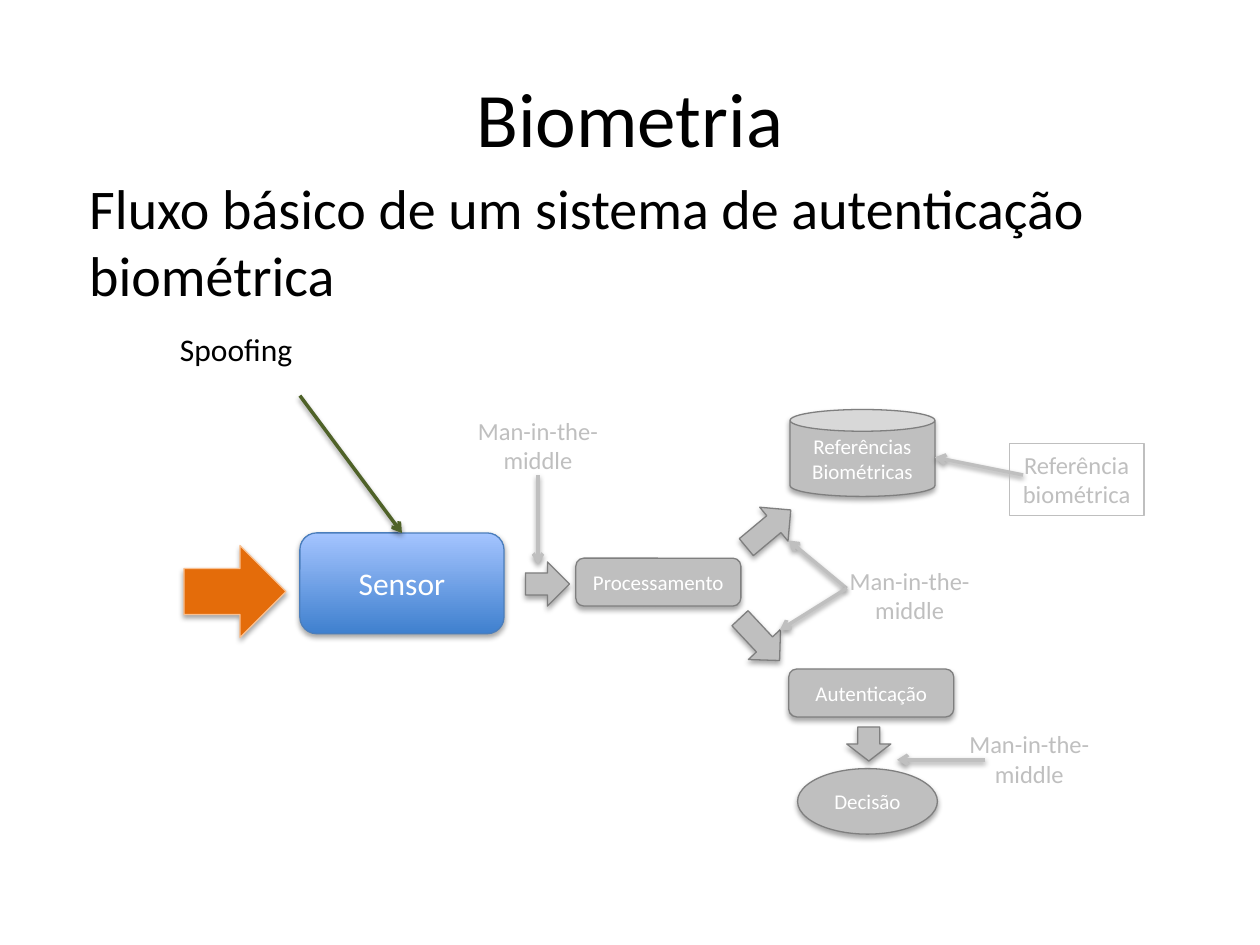
from lxml import etree
from pptx import Presentation
from pptx import util as u
from pptx.dml.color import RGBColor
from pptx.enum import shapes, text
from pptx.oxml import parse_xml
from pptx.oxml.ns import nsdecls, qn

hues = {
    "black": "000000", "white": "FFFFFF", "gray": "BFBFBF", "edge": "7F7F7F",
    "blue": "3F80CE", "sky": "A4C4FF", "rim": "4B7EBC", "green": "4F6228",
    "orange": "E46C0A", "peach": "FAC090",
}
hues = {name: RGBColor.from_string(code) for name, code in hues.items()}
kinds = shapes.MSO_SHAPE


def write(frame, words, size, hue, align=text.PP_ALIGN.CENTER):
    frame.text = words
    for para in frame.paragraphs:
        para.alignment = align
        for run in para.runs:
            run.font.size = u.Pt(size)
            run.font.name = "Calibri"
            run.font.color.rgb = hues[hue]


def shade(item, alpha, dist):
    props = item._element.spPr
    effects = props.find(qn("a:effectLst"))
    if effects is None:
        effects = etree.SubElement(props, qn("a:effectLst"))
    effects.append(parse_xml(
        f'<a:outerShdw {nsdecls("a")} blurRad="{u.Pt(3.1)}" dist="{u.Pt(dist)}" '
        f'dir="5400000" rotWithShape="0"><a:srgbClr val="000000">'
        f'<a:alpha val="{alpha * 1000}"/></a:srgbClr></a:outerShdw>'))


deck = Presentation()
deck.slide_width, deck.slide_height = u.Inches(10), u.Inches(7.5)
slide = deck.slides.add_slide(deck.slide_layouts[5])

title = slide.shapes.title
title.left, title.top = u.Inches(0.5), u.Inches(0.3)
title.width, title.height = u.Inches(9), u.Inches(1.25)
title.text_frame.vertical_anchor = text.MSO_ANCHOR.MIDDLE
write(title.text_frame, "Biometria", 44, "black")

nodes = [
    (kinds.ROUNDED_RECTANGLE, 2.38, 4.23, 1.62, 0.8, 0, "Sensor", 18, "blue", "rim"),
    (kinds.RIGHT_ARROW, 1.46, 4.33, 0.81, 0.73, 0, "", 12, "orange", "peach"),
    (kinds.ROUNDED_RECTANGLE, 4.57, 4.43, 1.31, 0.38, 0, "Processamento", 12, "gray", "edge"),
    (kinds.ROUNDED_RECTANGLE, 6.26, 5.31, 1.31, 0.38, 0, "Autenticação", 12, "gray", "edge"),
    (kinds.CAN, 6.27, 3.25, 1.15, 0.69, 0, "Referências\nBiométricas", 12, "gray", "edge"),
    (kinds.OVAL, 6.33, 6.1, 1.11, 0.52, 0, "Decisão", 12, "gray", "edge"),
    (kinds.RIGHT_ARROW, 4.17, 4.46, 0.35, 0.35, 0, "", 12, "gray", "edge"),
    (kinds.RIGHT_ARROW, 5.87, 4.02, 0.46, 0.35, 320.1, "", 12, "gray", "edge"),
    (kinds.RIGHT_ARROW, 5.8, 4.9, 0.46, 0.35, 46.9, "", 12, "gray", "edge"),
    (kinds.RIGHT_ARROW, 6.76, 5.73, 0.27, 0.35, 90, "", 12, "gray", "edge"),
]
made = {}
for kind, left, top, wide, high, turn, words, size, fill, edge in nodes:
    node = slide.shapes.add_shape(
        kind, u.Inches(left), u.Inches(top), u.Inches(wide), u.Inches(high))
    node.rotation = turn
    node.fill.solid()
    node.fill.fore_color.rgb = hues[fill]
    node.line.color.rgb = hues[edge]
    node.line.width = u.Pt(0.75)
    node.shadow.inherit = False
    shade(node, 35, 1.8)
    if words:
        frame = node.text_frame
        frame.word_wrap = False
        frame.vertical_anchor = text.MSO_ANCHOR.MIDDLE
        write(frame, words, size, "white")
        made[words] = node

sensor = made["Sensor"]
sensor.fill.gradient()
sensor.fill.gradient_angle = 90
for stop, hue in zip(sensor.fill.gradient_stops, ("blue", "sky")):
    stop.color.rgb = hues[hue]

links = [
    (2.38, 3.14, 3.19, 4.23, "green", sensor),
    (4.27, 3.77, 4.27, 4.48, "gray", None),
    (6.72, 4.67, 6.26, 4.29, "gray", None),
    (6.72, 4.67, 6.19, 5, "gray", None),
    (8.12, 3.77, 7.42, 3.63, "gray", None),
    (7.82, 6.03, 7.12, 6.03, "gray", None),
]
for x1, y1, x2, y2, hue, goal in links:
    link = slide.shapes.add_connector(
        shapes.MSO_CONNECTOR.STRAIGHT,
        u.Inches(x1), u.Inches(y1), u.Inches(x2), u.Inches(y2))
    if goal is not None:
        link.end_connect(goal, 0)
    link.line.color.rgb = hues[hue]
    link.line.width = u.Pt(2)
    etree.SubElement(link.line._get_or_add_ln(), qn("a:tailEnd"), type="arrow")
    shade(link, 38, 1.6)

left, center = text.PP_ALIGN.LEFT, text.PP_ALIGN.CENTER
middle = "Man-in-the-\nmiddle"
labels = [
    (0.61, 1.33, 8.88, 1.2, "Fluxo básico de um sistema de autenticação biométrica",
     32, "black", left),
    (1.33, 2.57, 1.78, 0.58, "Spoofing", 18, "black", left),
    (3.69, 3.25, 1.16, 0.57, middle, 14, "gray", center),
    (6.64, 4.44, 1.16, 0.57, middle, 14, "gray", center),
    (7.59, 5.74, 1.16, 0.57, middle, 14, "gray", center),
    (8.01, 3.52, 1.07, 0.57, "Referência\nbiométrica", 14, "gray", center),
]
for x, y, wide, high, words, size, hue, align in labels:
    label = slide.shapes.add_textbox(
        u.Inches(x), u.Inches(y), u.Inches(wide), u.Inches(high))
    label.text_frame.word_wrap = align == left
    write(label.text_frame, words, size, hue, align)
    if words.startswith("Referência"):
        label.line.color.rgb = hues["gray"]
        label.line.width = u.Pt(0.75)

deck.save("out.pptx")
